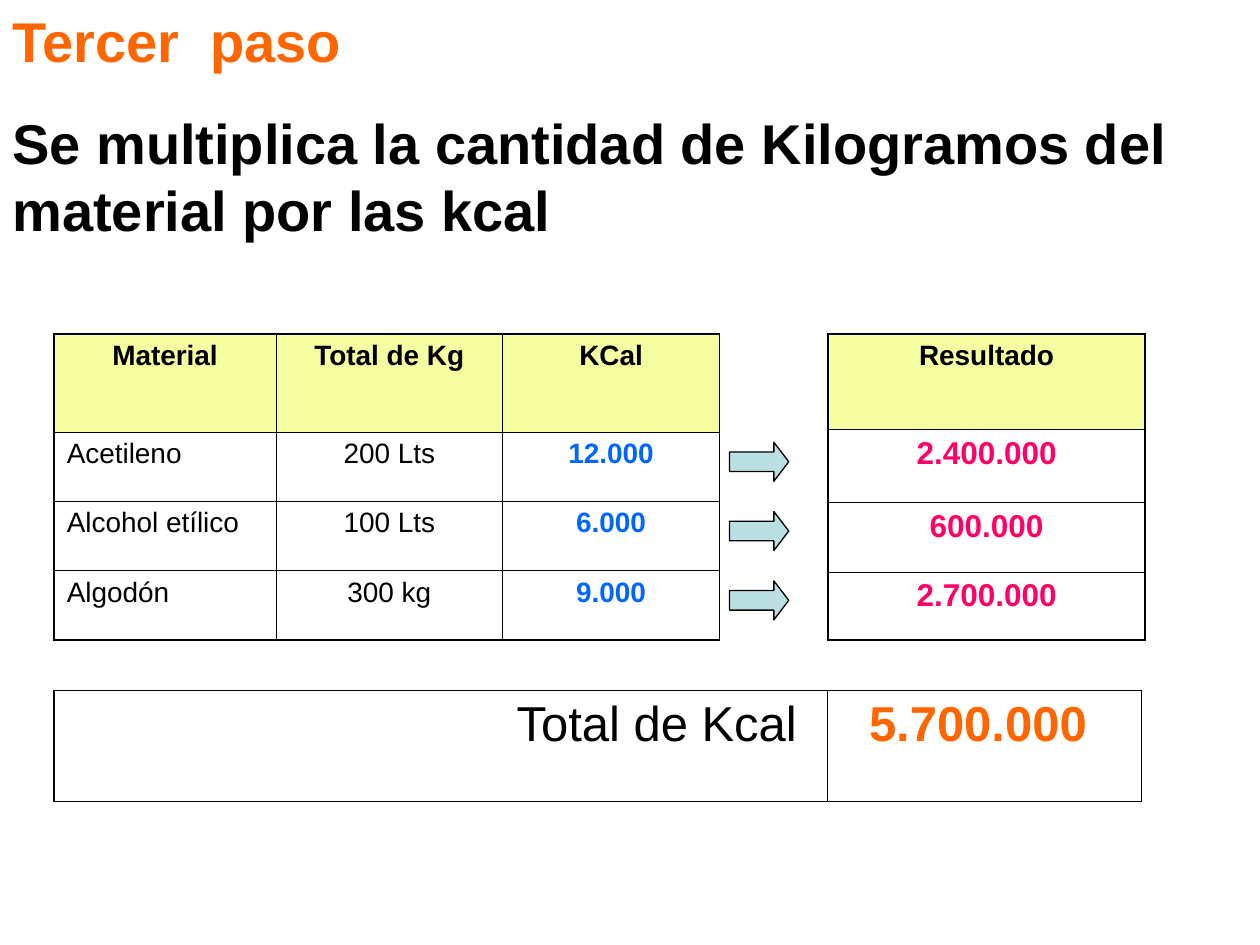
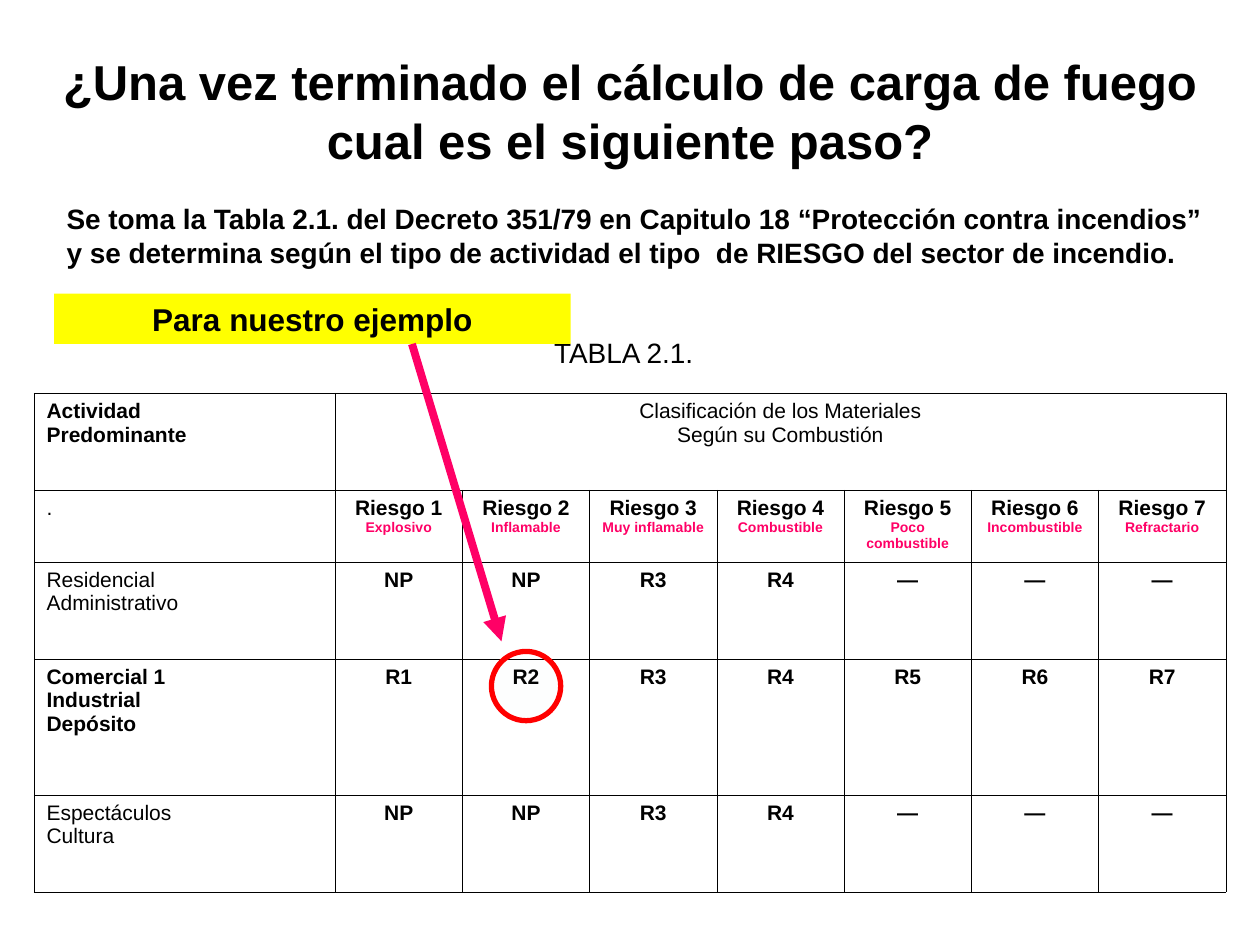
from dataclasses import dataclass

from lxml import etree
from pptx import Presentation
from pptx.dml.color import RGBColor
from pptx.enum.shapes import MSO_CONNECTOR as CONNECTOR, MSO_SHAPE as SHAPE
from pptx.enum.text import MSO_ANCHOR as ANCHOR, PP_ALIGN as ALIGN
from pptx.oxml.ns import qn
from pptx.util import Inches, Pt

FONT = "Arial"
BLACK = RGBColor(0x00, 0x00, 0x00)
ORANGE = RGBColor(0xFF, 0x66, 0x00)
BLUE = RGBColor(0x00, 0x66, 0xFF)
PINK = RGBColor(0xFF, 0x00, 0x66)
RED = RGBColor(0xFF, 0x00, 0x00)
YELLOW = RGBColor(0xFF, 0xFF, 0x00)
HEADER_FILL = RGBColor(0xF5, 0xFE, 0xA0)
PALE_TEAL = RGBColor(0xBB, 0xE0, 0xE3)

# Space before a paragraph, as a share of its text size
TEXT_SPACING = 0.625
CELL_SPACING = 0.25


@dataclass
class Line:
    """One paragraph and its format; before overrides the spacing rule (points)."""
    text: str
    size: float = 16
    color: RGBColor = BLACK
    bold: bool = False
    align: ALIGN = ALIGN.LEFT
    indent: float = 0
    before: float | None = None


def centred(text, **style):
    return Line(text, align=ALIGN.CENTER, **style)


def write(frame, lines, spacing):
    frame.word_wrap = True
    for index, line in enumerate(lines):
        paragraph = frame.paragraphs[0] if index == 0 else frame.add_paragraph()
        before = line.size * spacing if line.before is None else line.before
        paragraph.alignment = line.align
        paragraph.space_before = Pt(before)
        if line.indent:
            paragraph._p.get_or_add_pPr().set("marL", str(Inches(line.indent)))
        run = paragraph.add_run()
        run.text = line.text
        font = {"name": FONT, "size": Pt(line.size), "bold": line.bold}
        for attribute, value in font.items():
            setattr(run.font, attribute, value)
        run.font.color.rgb = line.color


def add_text(slide, box, lines):
    frame = slide.shapes.add_textbox(*map(Inches, box)).text_frame
    write(frame, lines, TEXT_SPACING)


def add_shape(slide, kind, box, fill, line=None, width=0):
    shape = slide.shapes.add_shape(kind, *map(Inches, box))
    shape.shadow.inherit = False
    shape.fill.solid()
    shape.fill.fore_color.rgb = fill
    if line is None:
        shape.line.fill.background()
    else:
        shape.line.color.rgb = line
        shape.line.width = Pt(width)
    return shape


def border_cell(cell, widths):
    """Draw black borders; widths maps each side (L, R, T, B) to points."""
    properties = cell._tc.get_or_add_tcPr()
    for side, width in widths.items():
        border = etree.SubElement(properties, qn(f"a:ln{side}"), w=str(Pt(width)))
        fill = etree.SubElement(border, qn("a:solidFill"))
        etree.SubElement(fill, qn("a:srgbClr"), val=str(BLACK))


def add_grid(slide, left, top, columns, heights, rows, outer, inner,
             spacing=CELL_SPACING, header_fill=None):
    """Add a table whose rows hold lists of Lines, one list a cell."""
    table = slide.shapes.add_table(
        len(heights), len(columns), Inches(left), Inches(top),
        Inches(sum(columns)), Inches(sum(heights))).table
    table.first_row = table.horz_banding = False
    for column, width in zip(table.columns, columns):
        column.width = Inches(width)
    last_row, last_column = len(heights) - 1, len(columns) - 1
    for r, row in enumerate(rows):
        table.rows[r].height = Inches(heights[r])
        for c, lines in enumerate(row):
            cell = table.cell(r, c)
            edges = {"L": c == 0, "R": c == last_column,
                     "T": r == 0, "B": r == last_row}
            border_cell(cell, {side: outer if edge else inner
                               for side, edge in edges.items()})
            if header_fill is not None and r == 0:
                cell.fill.solid()
                cell.fill.fore_color.rgb = header_fill
            else:
                cell.fill.background()
            write(cell.text_frame, lines, spacing)
    return table


def add_materials(slide, left, top):
    materials = [("Acetileno", "200 Lts", "12.000"),
                 ("Alcohol etílico", "100 Lts", "6.000"),
                 ("Algodón", "300 kg", "9.000")]
    rows = [[[centred(name, bold=True)] for name in ("Material", "Total de Kg", "KCal")]]
    rows += [[[Line(material)], [centred(amount)],
              [centred(kcal, color=BLUE, bold=True)]]
             for material, amount, kcal in materials]
    add_grid(slide, left, top, [1.76, 1.8, 1.72], [0.78, 0.55, 0.55, 0.55],
             rows, 1.08, 0.45, header_fill=HEADER_FILL)


def add_results(slide, left, top):
    rows = [[[centred("Resultado", bold=True)]]]
    rows += [[[centred(result, size=18, color=PINK, bold=True)]]
             for result in ("2.400.000", "600.000", "2.700.000")]
    add_grid(slide, left, top, [2.52], [0.76, 0.58, 0.55, 0.54],
             rows, 1.08, 0.45, header_fill=HEADER_FILL)


def add_total(slide, left, top):
    row = [[Line("Total de Kcal", size=28, indent=3.57)],
           [centred("5.700.000 ", size=28, color=ORANGE, bold=True)]]
    add_grid(slide, left, top, [6.14, 2.49], [0.88], [row], 1.08, 0.45)


def add_row_arrows(slide, left, top, count=3, step=0.55):
    for index in range(count):
        arrow = add_shape(slide, SHAPE.RIGHT_ARROW,
                          (left, top + index * step, 0.47, 0.31),
                          PALE_TEAL, BLACK, 0.75)
        arrow.adjustments[1] = 0.38


def add_risk_table(slide, left, top):
    risks = ["Explosivo", "Inflamable", "Muy inflamable", "Combustible",
             "Poco combustible", "Incombustible", "Refractario"]
    limited = ["NP", "NP", "R3", "R4", "—", "—", "—"]
    activities = [
        (["Residencial", "Administrativo"], False, limited),
        (["Comercial 1", "Industrial", "Depósito"], True,
         [f"R{number}" for number in range(1, 8)]),
        (["Espectáculos", "Cultura"], False, limited),
    ]
    rows = [
        [[Line(text, size=12, bold=True) for text in ("Actividad", "Predominante")],
         [centred(text, size=12) for text in
          ("Clasificación de los Materiales", "Según su Combustión")]]
        + [[] for _ in risks[1:]],
        [[Line(".", size=12)]]
        + [[centred(f"Riesgo {number}", size=12, bold=True),
            centred(risk, size=8, color=PINK, bold=True)]
           for number, risk in enumerate(risks, 1)],
    ]
    rows += [[[Line(name, size=12, bold=bold) for name in names]]
             + [[centred(code, size=12, bold=True)] for code in codes]
             for names, bold, codes in activities]
    table = add_grid(slide, left, top, [2.39] + [1.01] * len(risks),
                     [0.77, 0.57, 0.77, 1.08, 0.77], rows, 0.34, 0.34, spacing=0)
    table.cell(0, 1).merge(table.cell(0, len(risks)))


def add_example_label(slide, box):
    label = add_shape(slide, SHAPE.RECTANGLE, box, YELLOW)
    label.text_frame.vertical_anchor = ANCHOR.TOP
    write(label.text_frame,
          [centred("Para nuestro ejemplo", size=18, bold=True)], TEXT_SPACING)


def add_risk_circle(slide, box):
    circle = add_shape(slide, SHAPE.OVAL, box, PALE_TEAL, RED, 3)
    color = circle.fill._xPr.find(qn("a:solidFill"))[0]
    etree.SubElement(color, qn("a:alpha"), val="2000")


def add_pointer(slide, start, end):
    pointer = slide.shapes.add_connector(CONNECTOR.STRAIGHT,
                                         *map(Inches, start + end))
    pointer.line.color.rgb = PINK
    pointer.line.width = Pt(4.5)
    etree.SubElement(pointer.line._get_or_add_ln(), qn("a:tailEnd"), type="triangle")
    etree.SubElement(pointer._element.spPr, qn("a:effectLst"))


def build_third_step(slide):
    left, top, results_left = 0.43, 2.65, 6.57
    add_text(slide, (0, 0, 10, 1.98), [
        Line("Tercer  paso", size=32, color=ORANGE, bold=True),
        Line("Se multiplica la cantidad de Kilogramos del material por las kcal",
             size=32, bold=True)])
    add_materials(slide, left, top)
    add_results(slide, results_left, top)
    add_total(slide, left, 5.48)
    add_row_arrows(slide, 5.79, 3.51)


def build_next_step(slide):
    left = 0.43
    add_text(slide, (0, 0.36, 10, 1.04), [
        centred("¿Una vez terminado el cálculo de carga de fuego cual es el "
                "siguiente paso?", size=28, bold=True)])
    add_risk_table(slide, 0.27, 3.12)
    add_text(slide, (left, 1.55, 9.29, 1.45), [
        Line("Se toma la Tabla 2.1. del Decreto 351/79 en Capitulo 18 “Protección "
             "contra incendios” y se determina según el tipo de actividad el tipo  "
             "de RIESGO del sector de incendio.", bold=True),
        Line("TABLA 2.1.", indent=3.87, before=38.4)])
    add_risk_circle(slide, (3.9, 5.17, 0.55, 0.55))
    add_example_label(slide, (left, 2.33, 4.1, 0.4))
    add_pointer(slide, (3.27, 2.73), (3.98, 5.09))


def main():
    deck = Presentation()
    deck.slide_width, deck.slide_height = Inches(10), Inches(7.5)
    blank = deck.slide_layouts[6]
    for build in (build_third_step, build_next_step):
        build(deck.slides.add_slide(blank))
    deck.save("out.pptx")


if __name__ == "__main__":
    main()
